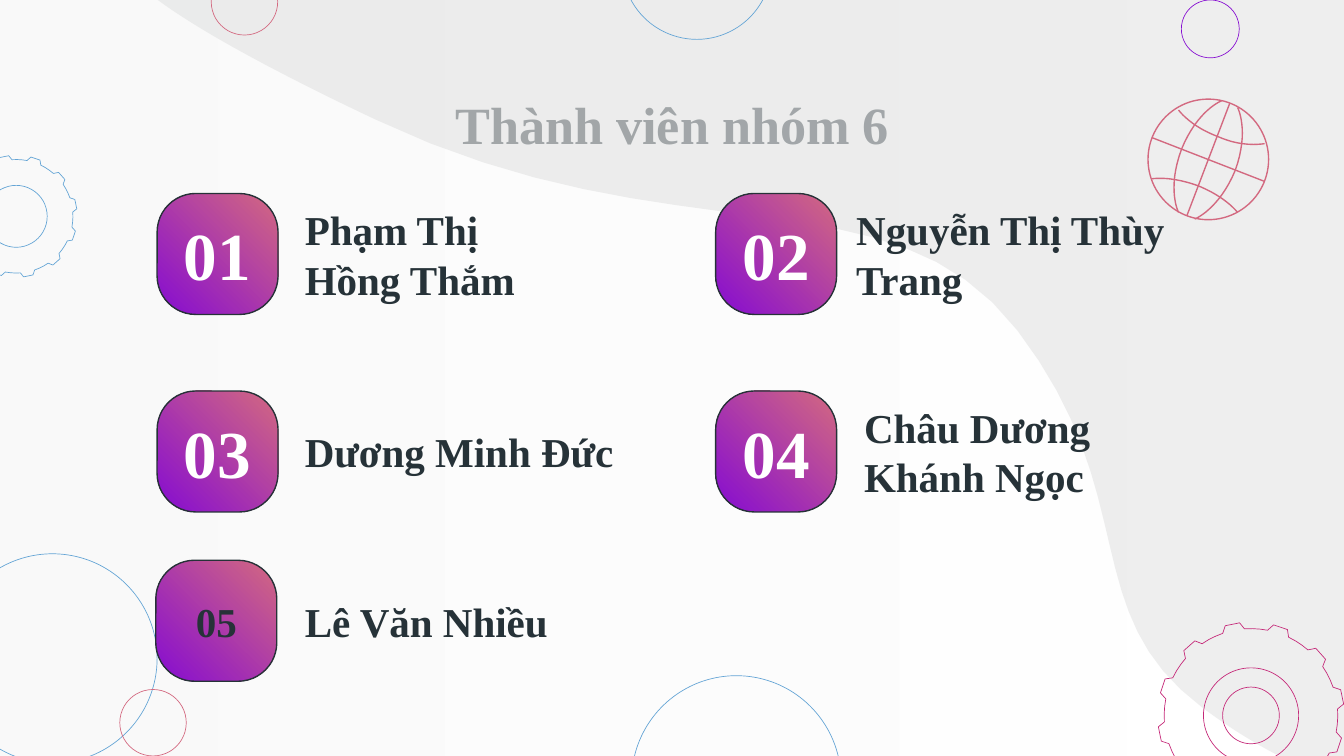
from dataclasses import dataclass
from math import cos, radians, sin

from lxml.etree import SubElement
from pptx import Presentation
from pptx.dml.color import RGBColor
from pptx.enum.shapes import MSO_CONNECTOR as Conn, MSO_SHAPE as Shp
from pptx.enum.text import MSO_ANCHOR as Anchor, MSO_AUTO_SIZE as Auto, PP_ALIGN as Align
from pptx.oxml.ns import qn
from pptx.util import Pt

WHITE = RGBColor(0xFF, 0xFF, 0xFF)
MIST = RGBColor(0xF3, 0xF3, 0xF3)
GREY = RGBColor(0xD6, 0xD7, 0xD7)
INK = RGBColor(0x26, 0x32, 0x38)
BLUE = RGBColor(0x63, 0xA4, 0xD5)
PURPLE = RGBColor(0x86, 0x0C, 0xD1)
ROSE = RGBColor(0xD3, 0x69, 0x80)
MAGENTA = RGBColor(0xC5, 0x28, 0x78)

FONT = "Times New Roman"
HAIRLINE, THIN = 0.36, 0.75
TILE = 64.8
TEETH = 12

Point = tuple[float, float]


@dataclass
class Ring:
    cx: float
    cy: float
    r: float
    color: RGBColor
    weight: float = HAIRLINE


@dataclass
class Gear:
    cx: float
    cy: float
    r: float
    holes: tuple[float, ...]
    color: RGBColor


@dataclass
class Member:
    number: str
    name: str
    x: float
    y: float
    name_x: float
    name_w: float = 203
    number_size: float = 36
    number_color: RGBColor = WHITE


RINGS = [
    Ring(28.1, 352.8, 56.1, BLUE),
    Ring(648.4, 15.5, 15.5, PURPLE),
    Ring(131, 1, 17.8, ROSE),
    Ring(373.3, -19, 40.1, BLUE),
    Ring(394.5, 418.1, 56.1, BLUE),
    Ring(82, 387.2, 17.8, ROSE),
]
GEARS = [
    Gear(8.7, 115.9, 32.7, (16.6,), BLUE),
    Gear(670.2, 383.3, 50, (25.5, 15.2), MAGENTA),
]
GLOBE = Ring(647.3, 85.4, 32.3, ROSE, THIN)
GLOBE_AXES = [((658.8, 55.4), (635.8, 115.7)), ((617, 73.7), (677.5, 97.2))]
GLOBE_CURVES = [
    [(631.4, 113.8), (631.4, 113.8), (625, 101.5), (633, 80), (641.5, 59), (654.5, 54), (654.5, 54)],
    [(640, 117.4), (640, 117.4), (653, 112.3), (661.7, 91.4), (669.5, 70), (663, 57.6), (663, 57.6)],
    [(663, 113.8), (659.5, 109.5), (652.3, 103.7), (641.5, 99.4), (631.4, 95.8), (622.8, 95), (617, 95.8)],
    [(631.4, 59), (635, 63.4), (641.5, 69.1), (653, 73.4), (663.1, 77.8), (671.8, 77.8), (677.5, 77)],
]
WAVE = [
    (729, 423), (706, 416), (676, 403), (644, 379), (576, 328), (613, 266), (545, 177),
    (477, 89), (361, 140), (201, 64), (127, 29), (92, 7), (77, -6),
]
COLS, ROWS = (84.2, 383.4), (103.7, 209.5)
MEMBERS = [
    Member("01", "Phạm Thị Hồng Thắm", COLS[0], ROWS[0], 156.2, 157),
    Member("02", "Nguyễn Thị Thùy Trang", COLS[1], ROWS[0], 451.6),
    Member("03", "Dương Minh Đức", COLS[0], ROWS[1], 156.2),
    Member("04", "Châu Dương Khánh Ngọc", COLS[1], ROWS[1], 455.8),
    Member("05", "Lê Văn Nhiều", 83.5, 300.2, 156.2, number_size=22, number_color=INK),
]


def bezier(pts: list[Point], steps: int = 16) -> list[Point]:
    curve = [pts[0]]
    for i in range(0, len(pts) - 1, 3):
        for k in range(1, steps + 1):
            t = k / steps
            weights = ((1 - t) ** 3, 3 * t * (1 - t) ** 2, 3 * t * t * (1 - t), t ** 3)
            curve.append(tuple(sum(w * p[a] for w, p in zip(weights, pts[i:i + 4])) for a in (0, 1)))
    return curve


def outline(s, pts: list[Point], close: bool):
    (x, y), *rest = pts
    fb = s.shapes.build_freeform(Pt(x), Pt(y), scale=1.0)
    fb.add_line_segments([(Pt(px), Pt(py)) for px, py in rest], close=close)
    sp = fb.convert_to_shape()
    sp.shadow.inherit = False
    return sp


def stroke(sp, color: RGBColor, weight: float) -> None:
    sp.line.color.rgb = color
    sp.line.width = Pt(weight)


def preset(s, kind, x: float, y: float, w: float, h: float):
    sp = s.shapes.add_shape(kind, Pt(x), Pt(y), Pt(w), Pt(h))
    sp.shadow.inherit = False
    return sp


def gradient(sp, colors: tuple[RGBColor, RGBColor], angle: float) -> None:
    sp.fill.gradient()
    sp.fill.gradient_angle = angle
    for stop, color, pos in zip(sp.fill.gradient_stops, colors, (0, 1)):
        stop.color.rgb = color
        stop.position = pos


def fade(sp, percent: int) -> None:
    for clr in sp.element.spPr.iter(qn("a:srgbClr")):
        SubElement(clr, qn("a:alpha")).set("val", str(percent * 1000))


def write(sp, text: str, *, size=22, color=INK, align=Align.LEFT, inset=7.2) -> None:
    tf = sp.text_frame
    tf.word_wrap = True
    tf.auto_size = Auto.NONE
    tf.vertical_anchor = Anchor.MIDDLE
    tf.margin_left = tf.margin_right = tf.margin_top = tf.margin_bottom = Pt(inset)
    p = tf.paragraphs[0]
    p.alignment = align
    r = p.add_run()
    r.text = text
    r.font.name, r.font.size, r.font.bold = FONT, Pt(size), True
    r.font.color.rgb = color


def draw_ring(s, ring: Ring) -> None:
    sp = preset(s, Shp.OVAL, ring.cx - ring.r, ring.cy - ring.r, 2 * ring.r, 2 * ring.r)
    sp.fill.background()
    stroke(sp, ring.color, ring.weight)


def draw_gear(s, gear: Gear) -> None:
    root = 0.93 * gear.r
    profile = [(4.3, root), (7, gear.r), (16, gear.r), (19, root), (24, root), (29, root)]
    pts = []
    for tooth in range(TEETH):
        for offset, r in profile:
            a = radians(tooth * 360 / TEETH + offset)
            pts.append((gear.cx + r * cos(a), gear.cy - r * sin(a)))
    sp = outline(s, pts, True)
    sp.fill.background()
    stroke(sp, gear.color, HAIRLINE)
    for hole in gear.holes:
        draw_ring(s, Ring(gear.cx, gear.cy, hole, gear.color))


def draw_globe(s) -> None:
    draw_ring(s, GLOBE)
    for (x1, y1), (x2, y2) in GLOBE_AXES:
        axis = s.shapes.add_connector(Conn.STRAIGHT, Pt(x1), Pt(y1), Pt(x2), Pt(y2))
        stroke(axis, GLOBE.color, GLOBE.weight)
        SubElement(axis.element.spPr, qn("a:effectLst"))
    for pts in GLOBE_CURVES:
        sp = outline(s, bezier(pts), False)
        sp.fill.background()
        stroke(sp, GLOBE.color, GLOBE.weight)


def draw_backdrop(s) -> None:
    wash = preset(s, Shp.RECTANGLE, -5, -5, 730, 415)
    gradient(wash, (WHITE, MIST), 180)
    wave = outline(s, [(77, -18), (740, -18), (740, 423), *bezier(WAVE)], True)
    wave.fill.solid()
    wave.fill.fore_color.rgb = GREY
    for sp in (wash, wave):
        fade(sp, 41)
        sp.line.fill.background()


def draw_member(s, m: Member) -> None:
    tile = preset(s, Shp.ROUNDED_RECTANGLE, m.x, m.y, TILE, TILE)
    tile.adjustments[0] = 0.32
    gradient(tile, (ROSE, PURPLE), 225)
    stroke(tile, INK, THIN)
    write(tile, m.number, size=m.number_size, color=m.number_color, align=Align.CENTER, inset=0)
    h = 34.6
    box = s.shapes.add_textbox(Pt(m.name_x), Pt(m.y + (TILE - h) / 2), Pt(m.name_w), Pt(h))
    write(box, m.name)


def main() -> None:
    prs = Presentation()
    prs.slide_width, prs.slide_height = Pt(720), Pt(405)
    s = prs.slides.add_slide(prs.slide_layouts[5])
    draw_backdrop(s)
    for ring in RINGS:
        draw_ring(s, ring)
    for gear in GEARS:
        draw_gear(s, gear)
    title = s.shapes.title
    title.left, title.top, title.width, title.height = Pt(56.2), Pt(51.8), Pt(607.7), Pt(28.8)
    write(title, "Thành viên nhóm 6", size=28, align=Align.CENTER)
    for member in MEMBERS:
        draw_member(s, member)
    draw_globe(s)
    prs.save("out.pptx")


if __name__ == "__main__":
    main()
